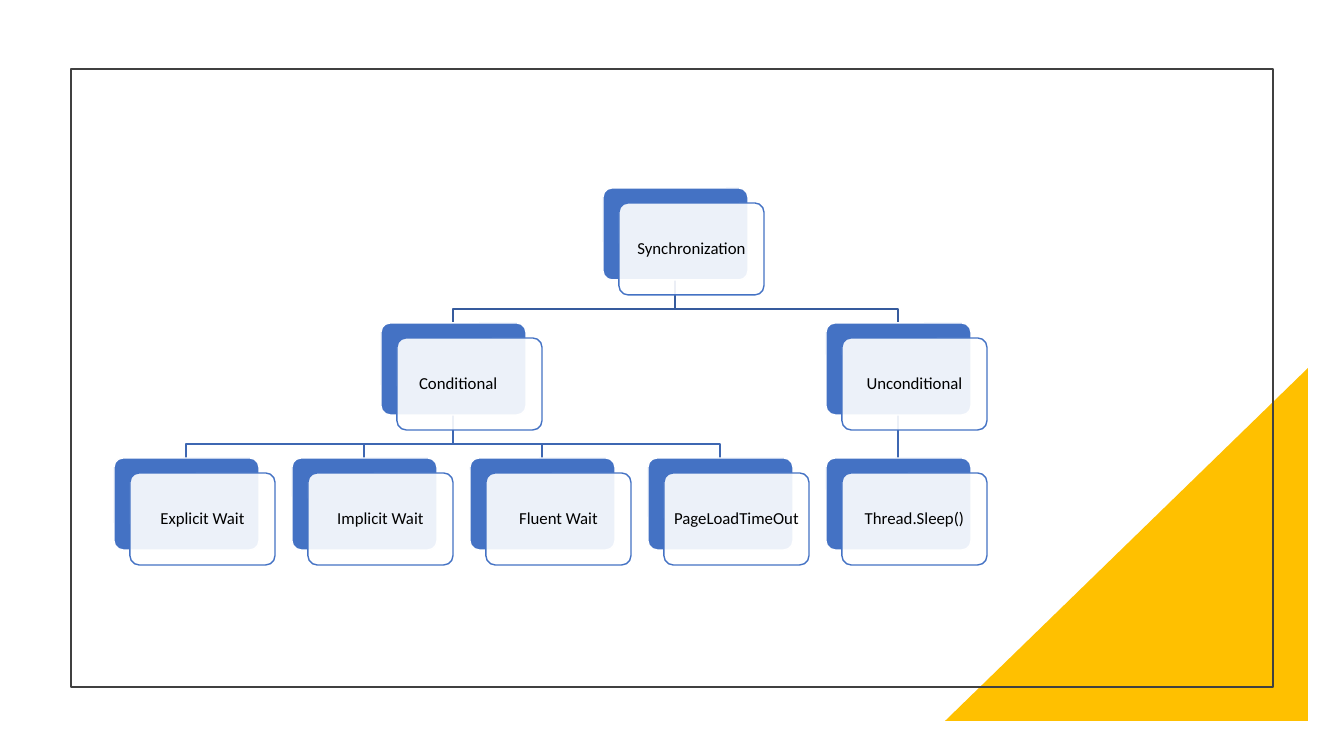
from lxml.etree import SubElement
from pptx import Presentation
from pptx.dml.color import RGBColor
from pptx.enum.shapes import MSO_CONNECTOR, MSO_SHAPE
from pptx.enum.text import MSO_ANCHOR, PP_ALIGN
from pptx.oxml.ns import qn
from pptx.util import Emu, Pt

SCALE = 12192000 / 1344
COLORS = {
    "accent": "FFC000",
    "frame": "404040",
    "card": "4472C4",
    "white": "FFFFFF",
    "text": "000000",
    "upper_link": "365B9D",
    "lower_link": "3E67B2",
}
FONT = "Calibri"
CARD_WIDTH, CARD_HEIGHT = 145, 92
CARD_OFFSET = 16
LEFT, COLUMN_STEP = 114, 178
TOP, ROW_STEP = 188, 135
BEND = 29


def px(value):
    return Emu(round(value * SCALE))


def rgb(name):
    return RGBColor.from_string(COLORS[name])


class SlideBuilder:
    def __init__(self, page):
        self.page = page

    def outline(self, shape, color, width):
        shape.line.color.rgb = rgb(color)
        shape.line.width = Pt(width)

    def shape(self, kind, left, top, width, height, fill=None, line=None, line_width=1, alpha=None):
        shape = self.page.shapes.add_shape(kind, px(left), px(top), px(width), px(height))
        shape.shadow.inherit = False
        if fill:
            shape.fill.solid()
            shape.fill.fore_color.rgb = rgb(fill)
        else:
            shape.fill.background()
        if alpha:
            color = shape.element.spPr.find(qn("a:solidFill"))[0]
            SubElement(color, qn("a:alpha"), val=str(alpha * 1000))
        if line:
            self.outline(shape, line, line_width)
        else:
            shape.line.fill.background()
        return shape

    def label(self, shape, text):
        frame = shape.text_frame
        frame.text = text
        frame.word_wrap = True
        frame.vertical_anchor = MSO_ANCHOR.MIDDLE
        frame.margin_left = frame.margin_right = px(5)
        frame.margin_top = frame.margin_bottom = px(5)
        paragraph = frame.paragraphs[0]
        paragraph.alignment = PP_ALIGN.CENTER
        paragraph.line_spacing = 0.9
        for span in paragraph.runs:
            span.font.name = FONT
            span.font.size = Pt(12)
            span.font.color.rgb = rgb("text")

    def card(self, left, top, text):
        back = self.shape(MSO_SHAPE.ROUNDED_RECTANGLE, left, top, CARD_WIDTH, CARD_HEIGHT,
                          "card", "white")
        front = self.shape(MSO_SHAPE.ROUNDED_RECTANGLE, left + CARD_OFFSET, top + CARD_OFFSET - 1,
                           CARD_WIDTH, CARD_HEIGHT, "white", "card", alpha=90)
        for box in (back, front):
            box.adjustments[0] = 0.1
        self.label(front, text)

    def link(self, parent, child, color):
        start_x, end_x = (left + CARD_WIDTH // 2 for left in (parent[0], child[0]))
        start_y, end_y = parent[1] + CARD_HEIGHT, child[1]
        if start_x == end_x:
            line = self.page.shapes.add_connector(
                MSO_CONNECTOR.STRAIGHT, px(start_x), px(start_y), px(end_x), px(end_y))
            SubElement(line.element.spPr, qn("a:effectLst"))
        else:
            bend_y = start_y + BEND
            path = self.page.shapes.build_freeform(px(start_x), px(start_y))
            path.add_line_segments(
                [(px(x), px(y)) for x, y in ((start_x, bend_y), (end_x, bend_y), (end_x, end_y))],
                close=False)
            line = path.convert_to_shape()
            line.shadow.inherit = False
            line.fill.background()
        self.outline(line, color, 1)


def position(column, row):
    return int(LEFT + column * COLUMN_STEP), TOP + row * ROW_STEP


root = ("Synchronization", position(2.75, 0))
branches = [
    ("Conditional\t", position(1.5, 1),
     ["Explicit Wait", "Implicit Wait", "Fluent Wait", "PageLoadTimeOut"]),
    ("Unconditional", position(4, 1), ["Thread.Sleep()"]),
]

deck = Presentation()
deck.slide_width, deck.slide_height = px(1344), px(756)
builder = SlideBuilder(deck.slides.add_slide(deck.slide_layouts[6]))

triangle = builder.shape(MSO_SHAPE.RIGHT_TRIANGLE, 945, 368, 363, 353, "accent")
triangle.element.spPr.xfrm.set("flipH", "1")
builder.shape(MSO_SHAPE.RECTANGLE, 71, 69, 1202, 618, line="frame", line_width=1.5)

cards = [root]
column = 0
for name, place, leaves in branches:
    builder.link(root[1], place, "upper_link")
    cards.append((name, place))
    for leaf in leaves:
        leaf_place = position(column, 2)
        builder.link(place, leaf_place, "lower_link")
        cards.append((leaf, leaf_place))
        column += 1

for name, place in cards:
    builder.card(*place, name)

deck.save("out.pptx")
